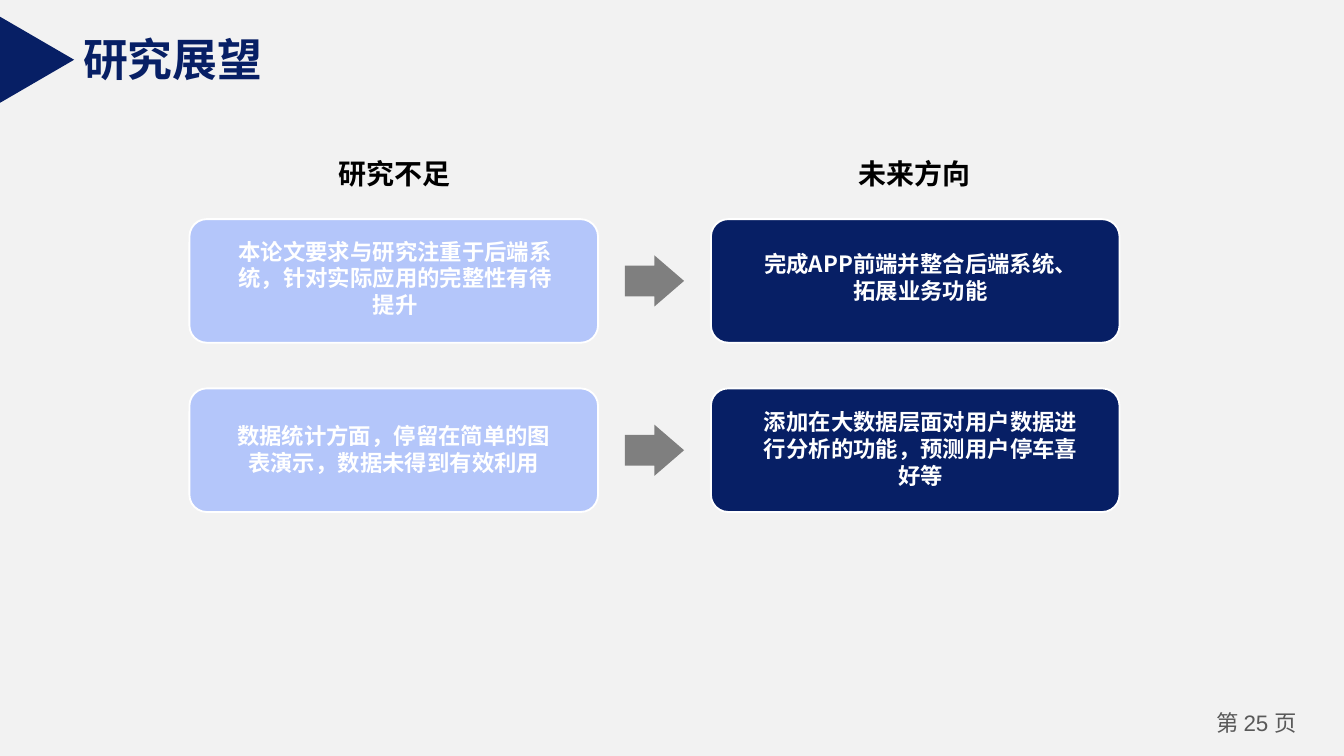
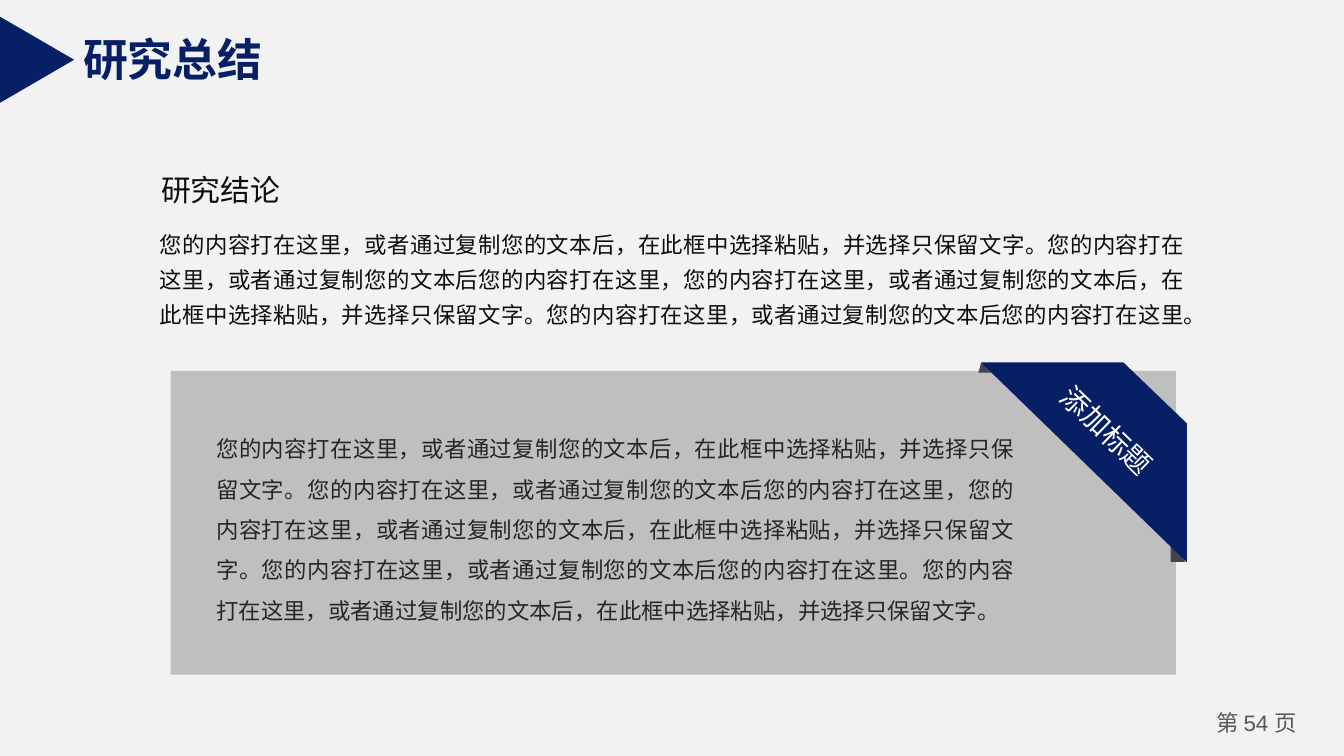
from dataclasses import dataclass

from lxml.etree import SubElement
from pptx import Presentation
from pptx.dml.color import RGBColor
from pptx.enum.shapes import MSO_SHAPE
from pptx.enum.text import MSO_AUTO_SIZE, PP_ALIGN
from pptx.oxml.ns import qn
from pptx.util import Pt


@dataclass(frozen=True)
class Theme:
    background: str = "F2F2F2"
    navy: str = "071F65"
    pale_blue: str = "B4C6FA"
    arrow: str = "7F7F7F"
    panel: str = "BFBFBF"
    fold: str = "444455"
    white: str = "FFFFFF"
    black: str = "000000"
    ink: str = "0D0D0D"
    panel_ink: str = "262626"
    footer: str = "595959"
    font: str = "Noto Sans CJK SC"
    number_font: str = "Arial"
    title_size: int = 24
    subtitle_size: int = 16
    heading_size: int = 15
    body_size: int = 12


THEME = Theme()


def paint(sp, fill, line=None):
    """Give a shape a flat fill, an optional 1 pt outline and no shadow."""
    sp.shadow.inherit = False
    sp.fill.solid()
    sp.fill.fore_color.rgb = RGBColor.from_string(fill)
    if line:
        sp.line.color.rgb = RGBColor.from_string(line)
        sp.line.width = Pt(1)
    else:
        sp.line.fill.background()
    return sp


def add_text(s, box, text, size, color, bold=False, align=PP_ALIGN.LEFT,
             spacing=None, wrap=True, grow=True, inset=(7.2, 3.6),
             latin=THEME.font):
    """Add a one-paragraph text box; box is left, top, width, height."""
    sp = s.shapes.add_textbox(*map(Pt, box))
    tf = sp.text_frame
    tf.word_wrap = wrap
    tf.auto_size = MSO_AUTO_SIZE.SHAPE_TO_FIT_TEXT if grow else MSO_AUTO_SIZE.NONE
    tf.margin_left = tf.margin_right = Pt(inset[0])
    tf.margin_top = tf.margin_bottom = Pt(inset[1])
    p = tf.paragraphs[0]
    p.text = text
    p.alignment = align
    if spacing:
        p.line_spacing = spacing
    p.font.size = Pt(size)
    p.font.bold = bold
    p.font.color.rgb = RGBColor.from_string(color)
    p.font.name = latin
    # East Asian typeface, next to the Latin one
    props = p._p.pPr.find(qn("a:defRPr"))
    SubElement(props, qn("a:ea")).set("typeface", THEME.font)
    return sp


prs = Presentation()
prs.slide_width, prs.slide_height = Pt(720), Pt(405)

# Shared frame: background, title marker, title and page number
slides = []
for title, page in (("研究展望", 25), ("研究总结", 54)):
    s = prs.slides.add_slide(prs.slide_layouts[6])
    s.background.fill.solid()
    s.background.fill.fore_color.rgb = RGBColor.from_string(THEME.background)
    add_text(s, (640.8, 377.3, 64.8, 21.6), f"第 {page} 页", THEME.body_size,
             THEME.footer, align=PP_ALIGN.CENTER, grow=False,
             inset=(5, 2.9), latin=THEME.number_font)
    add_text(s, (37.4, 13.7, 111.6, 36), title, THEME.title_size,
             THEME.navy, bold=True, wrap=False)
    marker = paint(s.shapes.add_shape(MSO_SHAPE.ISOSCELES_TRIANGLE, Pt(-3.1),
                                      Pt(12.2), Pt(46), Pt(39.6)), THEME.navy)
    marker.rotation = 90
    slides.append(s)
outlook, summary = slides

# Outlook: two columns, each with a heading and two cards
CARD_W, CARD_H = 218.9, 66.2
ROW_TOP, ROW_PITCH = 117.4, 90.7
columns = (
    # heading, heading left, card left, fill, cards as (text, left, top, height)
    ("研究不足", 174.2, 101.5, THEME.pale_blue, (
        ("本论文要求与研究注重于后端系统，针对实际应用的完整性有待提升", 118.8, 123.8, 51.1),
        ("数据统计方面，停留在简单的图表演示，数据未得到有效利用", 118.1, 222.5, 36))),
    ("未来方向", 452.9, 380.9, THEME.navy, (
        ("完成APP前端并整合后端系统、拓展业务功能", 400.3, 130.3, 36),
        ("添加在大数据层面对用户数据进行分析的功能，预测用户停车喜好等", 400.3, 215.3, 51.1))),
)
for heading, heading_left, card_left, fill, cards in columns:
    add_text(outlook, (heading_left, 71.3, 74.9, 31.7), heading,
             THEME.heading_size, THEME.black, bold=True, spacing=1.5, wrap=False)
    for row, (text, left, top, height) in enumerate(cards):
        card = paint(outlook.shapes.add_shape(
            MSO_SHAPE.ROUNDED_RECTANGLE, Pt(card_left), Pt(ROW_TOP + row * ROW_PITCH),
            Pt(CARD_W), Pt(CARD_H)), fill, THEME.white)
        card.adjustments[0] = 0.14
        add_text(outlook, (left, top, 185.8, height), text, THEME.body_size,
                 THEME.white, bold=True, align=PP_ALIGN.CENTER)

# Arrows from each shortcoming to its direction
for row in range(2):
    arrow = paint(outlook.shapes.add_shape(
        MSO_SHAPE.RIGHT_ARROW, Pt(334.8), Pt(136.8 + row * ROW_PITCH),
        Pt(31.7), Pt(27.4)), THEME.arrow)
    arrow.adjustments[0] = 0.6
    arrow.adjustments[1] = 0.58

# Summary: conclusion heading and paragraph
paste_hint = "您的内容打在这里，或者通过复制您的文本后，在此框中选择粘贴，并选择只保留文字。"
short_hint = "您的内容打在这里，或者通过复制您的文本后您的内容打在这里"
conclusion = f"{paste_hint}{short_hint}，{paste_hint}{short_hint}。"
add_text(summary, (78.5, 115.9, 563.8, 64.1), conclusion, THEME.body_size,
         THEME.ink, align=PP_ALIGN.JUSTIFY, spacing=1.3)
add_text(summary, (79.2, 88.6, 79.2, 26.6), "研究结论", THEME.subtitle_size,
         THEME.ink, wrap=False)

# Grey panel
paint(summary.shapes.add_shape(MSO_SHAPE.RECTANGLE, Pt(91.4), Pt(198.7),
                               Pt(538.6), Pt(162.7)), THEME.panel)
add_text(summary, (110.9, 223.2, 437.8, 114.5), conclusion + paste_hint,
         THEME.body_size, THEME.panel_ink, align=PP_ALIGN.JUSTIFY,
         spacing=1.5, inset=(5, 2.9))

# Corner ribbon: two folds, then the band and its label
ribbon = (
    (THEME.fold, ((635, 301), (627.1, 301), (627.1, 290.9))),
    (THEME.fold, ((525.6, 194.4), (524.2, 199.6), (533.5, 199.6))),
    (THEME.navy, ((525.6, 194.2), (635.8, 301.2), (635.8, 226.8), (601.9, 194.2))),
)
for fill, points in ribbon:
    start, *rest = [(Pt(x), Pt(y)) for x, y in points]
    outline = summary.shapes.build_freeform(*start)
    outline.add_line_segments(rest, close=True)
    paint(outline.convert_to_shape(), fill)
label = add_text(summary, (555.8, 218.2, 74.9, 25.2), "添加标题",
                 THEME.heading_size, THEME.white, wrap=False)
label.rotation = 44

prs.save("out.pptx")
